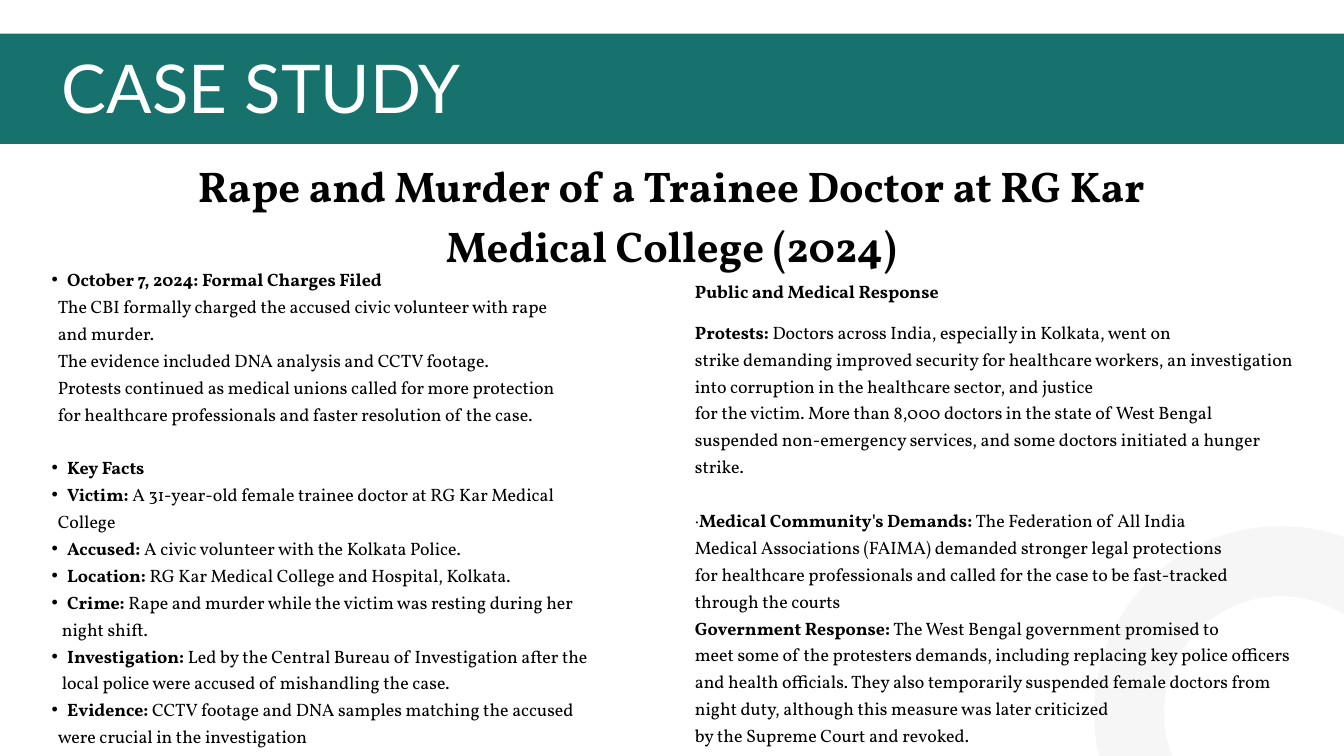
from dataclasses import dataclass

from lxml.etree import SubElement
from pptx import Presentation
from pptx.dml.color import RGBColor
from pptx.enum.shapes import MSO_SHAPE
from pptx.enum.text import MSO_ANCHOR, MSO_AUTO_SIZE, PP_ALIGN
from pptx.oxml.ns import qn
from pptx.util import Inches, Pt

COLORS = {"teal": "17726D", "ring": "F6F6F6", "white": "FFFFFF", "black": "000000"}
WIDTH, HEIGHT = Inches(20), Inches(11.25)
COLUMN, ROW = WIDTH / 20, HEIGHT / 11.25
BULLET_INDENT, HANGING = 0.45, -0.23
DETAIL_INDENT, NIGHT_INDENT = 0.31, 0.37
BODY_LINE = 28.8


@dataclass(frozen=True)
class Box:
    """Left, top, width and height in grid columns and rows."""
    left: float
    top: float
    width: float
    height: float

    def lengths(self) -> tuple[int, int, int, int]:
        return (round(self.left * COLUMN), round(self.top * ROW),
                round(self.width * COLUMN), round(self.height * ROW))


@dataclass(frozen=True)
class Line:
    """One paragraph: a bold lead, then plain text."""
    lead: str = ""
    text: str = ""
    before: str = ""
    bullet: bool = False
    indent: float = 0
    space: float = 0


def fact(lead: str, text: str = "", space: float = 0) -> Line:
    return Line(lead, text, bullet=True, space=space)


def detail(text: str, indent: float = DETAIL_INDENT) -> Line:
    return Line(text=text, indent=indent)


CASE_LINES = [
    fact("October 7, 2024: Formal Charges Filed"),
    detail("The CBI formally charged the accused civic volunteer with rape"),
    detail("and murder."),
    detail("The evidence included DNA analysis and CCTV footage."),
    detail("Protests continued as medical unions called for more protection"),
    detail("for healthcare professionals and faster resolution of the case."),
    fact("Key Facts", space=BODY_LINE),
    fact("Victim:", " A 31-year-old female trainee doctor at RG Kar Medical"),
    detail("College"),
    fact("Accused:", " A civic volunteer with the Kolkata Police."),
    fact("Location:", " RG Kar Medical College and Hospital, Kolkata."),
    fact("Crime:", " Rape and murder while the victim was resting during her"),
    detail("night shift.", NIGHT_INDENT),
    fact("Investigation:", " Led by the Central Bureau of Investigation after the"),
    detail("local police were accused of mishandling the case.", NIGHT_INDENT),
    fact("Evidence:", " CCTV footage and DNA samples matching the accused"),
    detail("were crucial in the investigation"),
]
RESPONSE_LINES = [
    Line("Public and Medical Response"),
    Line("Protests:", " Doctors across India, especially in Kolkata, went on", space=15.3),
    Line(text="strike demanding improved security for healthcare workers, an investigation "
              "into corruption in the healthcare sector, and justice"),
    Line(text="for the victim. More than 8,000 doctors in the state of West Bengal suspended "
              "non-emergency services, and some doctors initiated a hunger strike."),
    Line("Medical Community's Demands:", " The Federation of All India",
         before="·", space=BODY_LINE),
    Line(text="Medical Associations (FAIMA) demanded stronger legal protections"),
    Line(text="for healthcare professionals and called for the case to be fast-tracked "
              "through the courts"),
    Line("Government Response:", " The West Bengal government promised to"),
    Line(text="meet some of the protesters demands, including replacing key police officers "
              "and health officials. They also temporarily suspended female doctors from "
              "night duty, although this measure was later criticized"),
    Line(text="by the Supreme Court and revoked."),
]


def set_bullet(paragraph, line: Line) -> None:
    properties = paragraph._p.get_or_add_pPr()
    indent = BULLET_INDENT if line.bullet else line.indent
    properties.set("marL", str(round(indent * COLUMN)))
    properties.set("indent", str(round(HANGING * COLUMN) if line.bullet else 0))
    if line.bullet:
        SubElement(properties, qn("a:buChar")).set("char", "•")
    else:
        SubElement(properties, qn("a:buNone"))


def write_text(shape, box: Box, lines: list[Line], *, size: float, spacing: float,
               font: str = "Vollkorn", color: str = "black",
               align: PP_ALIGN = PP_ALIGN.LEFT) -> None:
    shape.left, shape.top, shape.width, shape.height = box.lengths()
    frame = shape.text_frame
    frame.margin_left = frame.margin_right = frame.margin_top = frame.margin_bottom = 0
    frame.word_wrap = True
    frame.auto_size = MSO_AUTO_SIZE.NONE
    frame.vertical_anchor = MSO_ANCHOR.TOP
    for index, line in enumerate(lines):
        paragraph = frame.add_paragraph() if index else frame.paragraphs[0]
        set_bullet(paragraph, line)
        paragraph.alignment = align
        paragraph.line_spacing = Pt(spacing)
        paragraph.space_before = Pt(line.space)
        paragraph.space_after = Pt(0)
        for text, bold in ((line.before, False), (line.lead, True), (line.text, False)):
            if text:
                run = paragraph.add_run()
                run.text = text
                run.font.name = font
                run.font.size = Pt(size)
                run.font.bold = bold
                run.font.color.rgb = RGBColor.from_string(COLORS[color])


def add_backdrop(slide, kind: MSO_SHAPE, box: Box, *, fill: str = "",
                 outline: str = "", outline_width: float = 0) -> None:
    """Add a decorative shape behind the placeholders."""
    shape = slide.shapes.add_shape(kind, *box.lengths())
    shape.shadow.inherit = False
    if fill:
        shape.fill.solid()
        shape.fill.fore_color.rgb = RGBColor.from_string(COLORS[fill])
    else:
        shape.fill.background()
    if outline:
        shape.line.color.rgb = RGBColor.from_string(COLORS[outline])
        shape.line.width = Pt(outline_width)
    else:
        shape.line.fill.background()
    shape.element.getparent().insert(2, shape.element)


def main() -> None:
    presentation = Presentation()
    presentation.slide_width, presentation.slide_height = WIDTH, HEIGHT
    slide = presentation.slides.add_slide(presentation.slide_layouts.get_by_name("Two Content"))
    slide.background.fill.solid()
    slide.background.fill.fore_color.rgb = RGBColor.from_string(COLORS["white"])
    title, case_body, response_body = list(slide.placeholders)[:3]

    add_backdrop(slide, MSO_SHAPE.OVAL, Box(16.8, 8.35, 4.52, 4.52),
                 outline="ring", outline_width=75)
    add_backdrop(slide, MSO_SHAPE.RECTANGLE, Box(0, 0.5, 20, 1.64), fill="teal")

    write_text(title, Box(0.92, 0.84, 8.91, 1.08), [Line(text="CASE STUDY")],
               size=72, spacing=75.6, font="Lato", color="white")
    write_text(case_body, Box(0.55, 3.92, 9.4, 7.48), CASE_LINES,
               size=19.2, spacing=BODY_LINE, align=PP_ALIGN.JUSTIFY)
    headline_box = Box(0.92, 2.25, 18.14, 2.62)
    headline = slide.shapes.add_textbox(*headline_box.lengths())
    write_text(headline, headline_box,
               [Line("Rape and Murder of a Trainee Doctor at RG Kar"),
                Line("Medical College (2024)")],
               size=46, spacing=64.4, align=PP_ALIGN.CENTER)
    write_text(response_body, Box(10.34, 4.09, 8.94, 7.31), RESPONSE_LINES,
               size=19.2, spacing=BODY_LINE)
    presentation.save("out.pptx")


if __name__ == "__main__":
    main()
